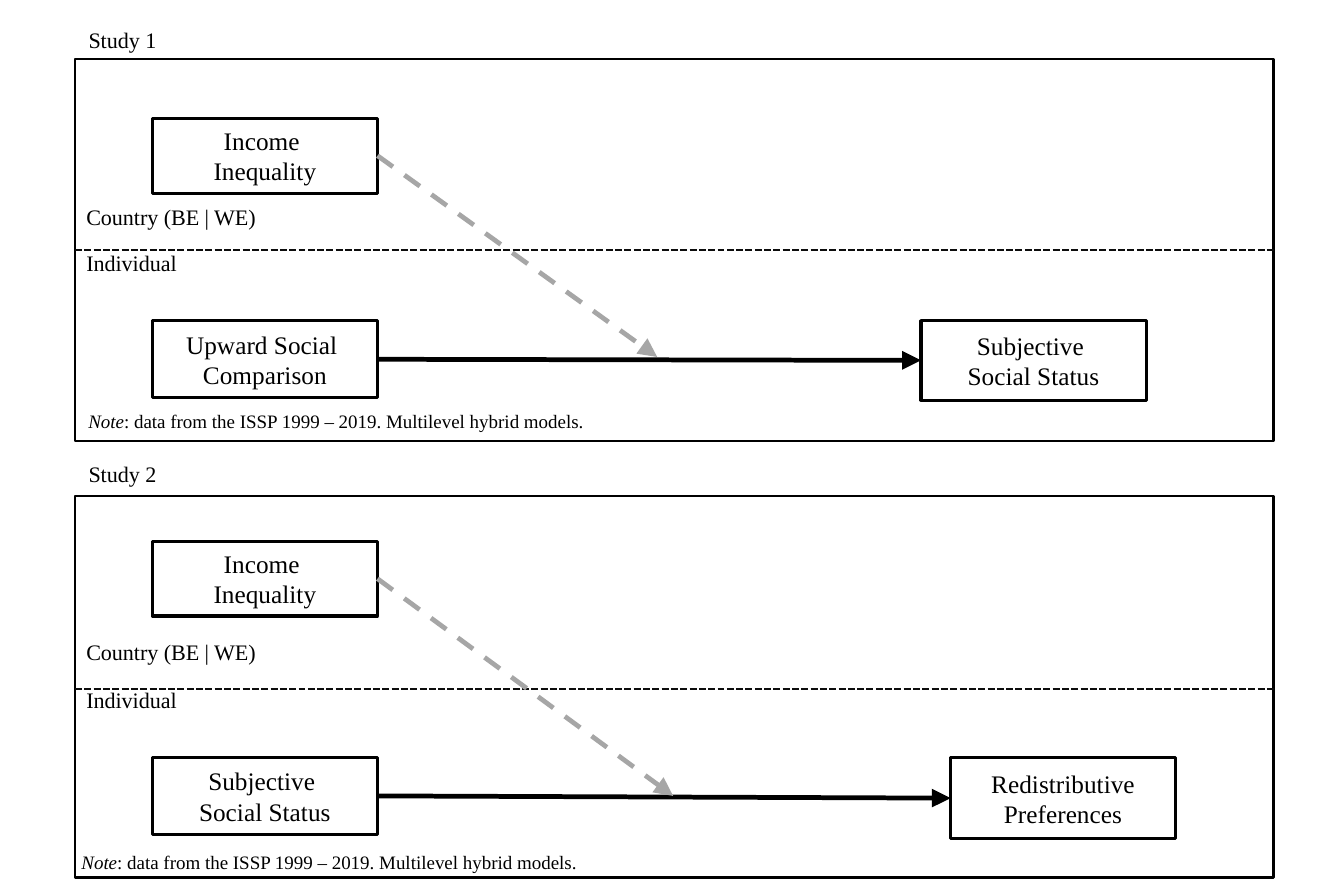
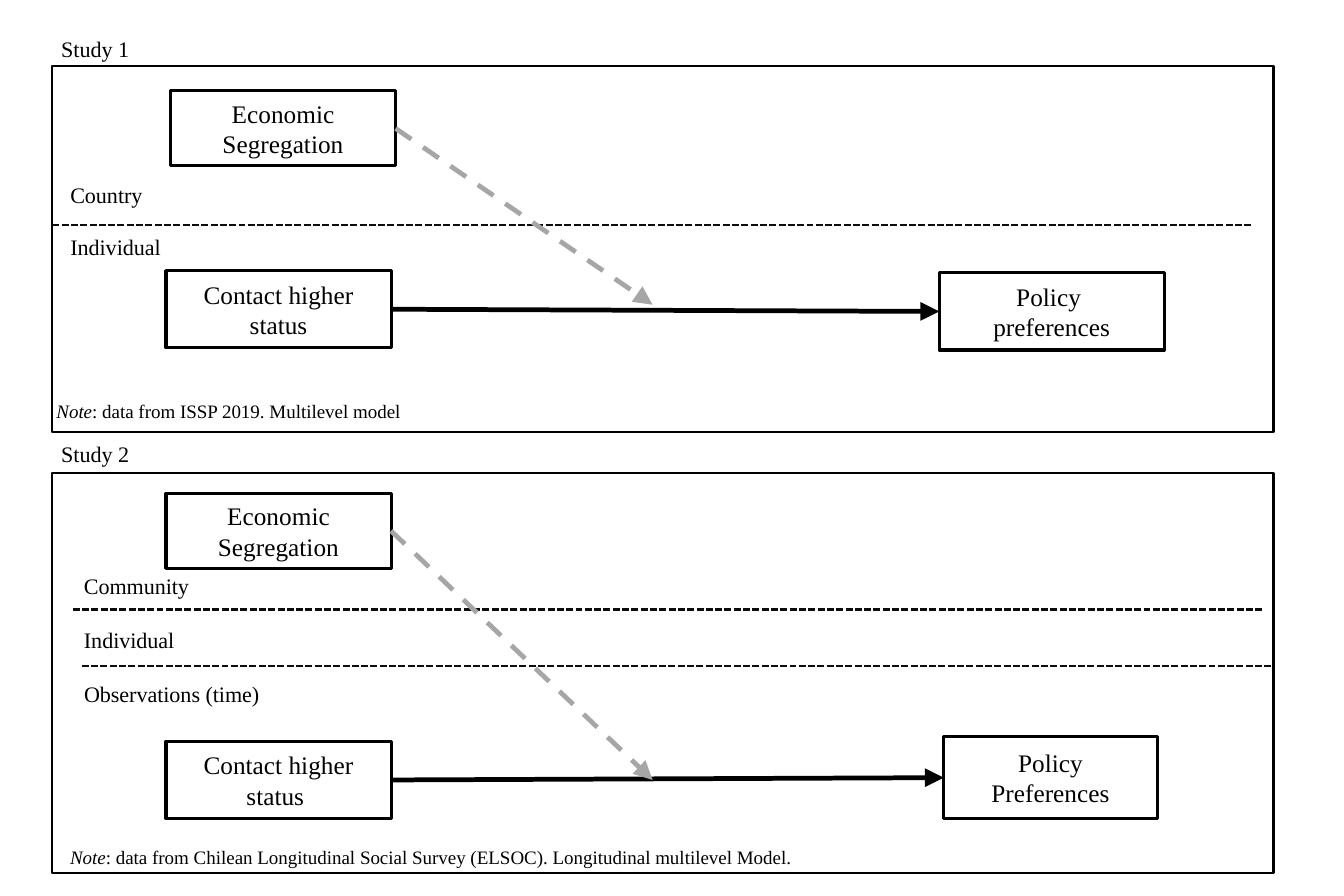
import dataclasses

import lxml.etree
import pptx
import pptx.dml.color
import pptx.enum.shapes
import pptx.enum.text
import pptx.oxml.ns
import pptx.util

Inches = pptx.util.Inches
Pt = pptx.util.Pt
RGBColor = pptx.dml.color.RGBColor
Alignment = pptx.enum.text.PP_ALIGN
Anchor = pptx.enum.text.MSO_ANCHOR
RECTANGLE = pptx.enum.shapes.MSO_SHAPE.RECTANGLE
STRAIGHT = pptx.enum.shapes.MSO_CONNECTOR.STRAIGHT
LEFT_SITE, RIGHT_SITE = 1, 3


@dataclasses.dataclass(frozen=True)
class Theme:
    """Colours, type sizes and line widths of all diagrams."""
    font: str = "Times New Roman"
    ink: str = "000000"
    paper: str = "FFFFFF"
    divider: str = "0D0D0D"
    moderation: str = "A6A6A6"
    box_size: float = 8
    label_size: float = 7
    note_size: float = 6
    thin: float = 0.75
    outline: float = 1
    arrow: float = 1.5


@dataclasses.dataclass
class Study:
    """One framed model; places are left, top, width, height in inches."""
    title: str
    title_at: tuple
    frame: tuple
    levels: list      # (text, place)
    dividers: list    # (left, right, top)
    moderator: tuple  # (lines, place)
    cause: tuple      # (lines, place)
    outcome: tuple    # (lines, place)
    target: tuple     # where the moderation arrow ends
    note: str
    note_at: tuple


def set_values(target, values):
    for name, value in values.items():
        setattr(target, name, value)


class DiagramBuilder:
    def __init__(self, presentation, theme):
        self.presentation = presentation
        self.theme = theme
        self.slide = None

    def new_slide(self):
        self.slide = self.presentation.slides.add_slide(
            self.presentation.slide_layouts[6])

    def add_text(self, paragraph, text, size, italic=False):
        run = paragraph.add_run()
        run.text = text
        set_values(run.font, {"name": self.theme.font, "size": Pt(size),
                              "italic": italic})
        run.font.color.rgb = RGBColor.from_string(self.theme.ink)

    def format_frame(self, text_frame):
        set_values(text_frame, {
            "word_wrap": True, "vertical_anchor": Anchor.MIDDLE,
            "margin_left": Inches(0.06), "margin_right": Inches(0.06),
            "margin_top": Inches(0.03), "margin_bottom": Inches(0.03)})

    def rectangle(self, place, width):
        shape = self.slide.shapes.add_shape(RECTANGLE, *map(Inches, place))
        shape.shadow.inherit = False
        shape.line.width = Pt(width)
        shape.line.color.rgb = RGBColor.from_string(self.theme.ink)
        return shape

    def frame(self, place):
        self.rectangle(place, self.theme.thin).fill.background()

    def box(self, lines, place):
        shape = self.rectangle(place, self.theme.outline)
        shape.fill.solid()
        shape.fill.fore_color.rgb = RGBColor.from_string(self.theme.paper)
        text_frame = shape.text_frame
        self.format_frame(text_frame)
        for index, line in enumerate(lines):
            paragraph = (text_frame.add_paragraph() if index
                         else text_frame.paragraphs[0])
            paragraph.alignment = Alignment.CENTER
            self.add_text(paragraph, line, self.theme.box_size)
        return shape

    def label(self, text, place):
        text_box = self.slide.shapes.add_textbox(*map(Inches, place))
        self.format_frame(text_box.text_frame)
        self.add_text(text_box.text_frame.paragraphs[0], text,
                      self.theme.label_size)

    def note(self, text, place):
        text_frame = self.slide.shapes.add_textbox(
            *map(Inches, place)).text_frame
        set_values(text_frame, {
            "word_wrap": True,
            "auto_size": pptx.enum.text.MSO_AUTO_SIZE.SHAPE_TO_FIT_TEXT})
        paragraph = text_frame.paragraphs[0]
        self.add_text(paragraph, "Note", self.theme.note_size, italic=True)
        self.add_text(paragraph, ": " + text, self.theme.note_size)

    def line(self, start, end, color, width, dash=None, arrow=False):
        connector = self.slide.shapes.add_connector(
            STRAIGHT, *map(Inches, start + end))
        connector.line.width = Pt(width)
        connector.line.color.rgb = RGBColor.from_string(color)
        qualify = pptx.oxml.ns.qn
        properties = connector.element.spPr
        outline = properties.find(qualify("a:ln"))
        if dash:
            lxml.etree.SubElement(outline, qualify("a:prstDash"), val=dash)
        if arrow:
            lxml.etree.SubElement(outline, qualify("a:tailEnd"),
                                  type="triangle")
        lxml.etree.SubElement(properties, qualify("a:effectLst"))
        return connector

    def study(self, study):
        theme = self.theme
        # Frame, title and level labels
        self.frame(study.frame)
        self.label(study.title, study.title_at)
        for left, right, top in study.dividers:
            self.line((left, top), (right, top), theme.divider, theme.thin,
                      "sysDash")
        for text, place in study.levels:
            self.label(text, place)

        # Variables
        moderator, cause, outcome = (
            self.box(*variable)
            for variable in (study.moderator, study.cause, study.outcome))

        # Effect and its moderation
        effect = self.line((0, 0), (0, 0), theme.ink, theme.arrow, arrow=True)
        effect.begin_connect(cause, RIGHT_SITE)
        effect.end_connect(outcome, LEFT_SITE)
        moderation = self.line(study.target, study.target, theme.moderation,
                               theme.arrow, "dash", arrow=True)
        moderation.begin_connect(moderator, RIGHT_SITE)

        self.note(study.note, study.note_at)


def label_at(left, top, width=1.17, height=0.17):
    return left, top, width, height


def box_at(left, top, height=0.34, width=0.99):
    return left, top, width, height


def note_at(left, top):
    return left, top, 5.26, 0.2


INEQUALITY = ["Income ", "Inequality"]
STATUS = ["Subjective ", "Social Status"]
SEGREGATION = ["Economic Segregation"]
ISSP_NOTE = "data from the ISSP 1999 – 2019. Multilevel hybrid models."

SLIDES = [
    # Inequality, status and redistribution
    [
        Study(
            title="Study 1", title_at=label_at(0.33, 0.09),
            frame=(0.33, 0.26, 5.27, 1.68),
            levels=[("Country (BE | WE)", label_at(0.32, 0.87)),
                    ("Individual", label_at(0.32, 1.07))],
            dividers=[(0.33, 5.61, 1.1)],
            moderator=(INEQUALITY, box_at(0.67, 0.52, 0.33)),
            cause=(["Upward Social ", "Comparison"], box_at(0.67, 1.41)),
            outcome=(STATUS, box_at(4.05, 1.41, 0.35)),
            target=(2.89, 1.57), note=ISSP_NOTE, note_at=note_at(0.29, 1.75)),
        Study(
            title="Study 2", title_at=label_at(0.33, 2),
            frame=(0.33, 2.18, 5.27, 1.68),
            levels=[("Country (BE | WE)", label_at(0.32, 2.78)),
                    ("Individual", label_at(0.32, 2.99))],
            dividers=[(0.33, 5.6, 3.03)],
            moderator=(INEQUALITY, box_at(0.67, 2.38, 0.33)),
            cause=(STATUS, box_at(0.67, 3.33)),
            outcome=(["Redistributive", "Preferences"],
                     box_at(4.18, 3.33, 0.36)),
            target=(2.96, 3.5), note=ISSP_NOTE, note_at=note_at(0.26, 3.69)),
    ],
    # Segregation, contact and policy preferences
    [
        Study(
            title="Study 1", title_at=label_at(0.21, 0.13),
            frame=(0.23, 0.29, 5.37, 1.61),
            levels=[("Country", label_at(0.25, 0.77)),
                    ("Individual", label_at(0.25, 1))],
            dividers=[(0.23, 5.5, 0.99)],
            moderator=(SEGREGATION, box_at(0.75, 0.4, 0.33)),
            cause=(["Contact higher status"], box_at(0.73, 1.19)),
            outcome=(["Policy ", "preferences"], box_at(4.13, 1.2)),
            target=(2.87, 1.34), note="data from ISSP 2019. Multilevel model",
            note_at=note_at(0.15, 1.71)),
        Study(
            title="Study 2", title_at=label_at(0.21, 1.91),
            frame=(0.23, 2.08, 5.37, 1.76),
            levels=[("Community", label_at(0.31, 2.49)),
                    ("Individual", label_at(0.31, 2.73, 1.27)),
                    ("Observations (time)", label_at(0.31, 2.95, 1.31, 0.2))],
            dividers=[(0.32, 5.55, 2.68), (0.36, 5.6, 2.93)],
            moderator=(SEGREGATION, box_at(0.73, 2.17, 0.33)),
            cause=(["Contact higher status "], box_at(0.73, 3.26)),
            outcome=(["Policy Preferences"], box_at(4.15, 3.24, 0.36, 0.94)),
            target=(2.87, 3.43),
            note="data from Chilean Longitudinal Social Survey (ELSOC). "
                 "Longitudinal multilevel Model. ",
            note_at=note_at(0.21, 3.67)),
    ],
]

presentation = pptx.Presentation()
set_values(presentation, {"slide_width": Inches(5.91),
                          "slide_height": Inches(3.94)})
builder = DiagramBuilder(presentation, Theme())
for studies in SLIDES:
    builder.new_slide()
    for study in studies:
        builder.study(study)
presentation.save("out.pptx")
